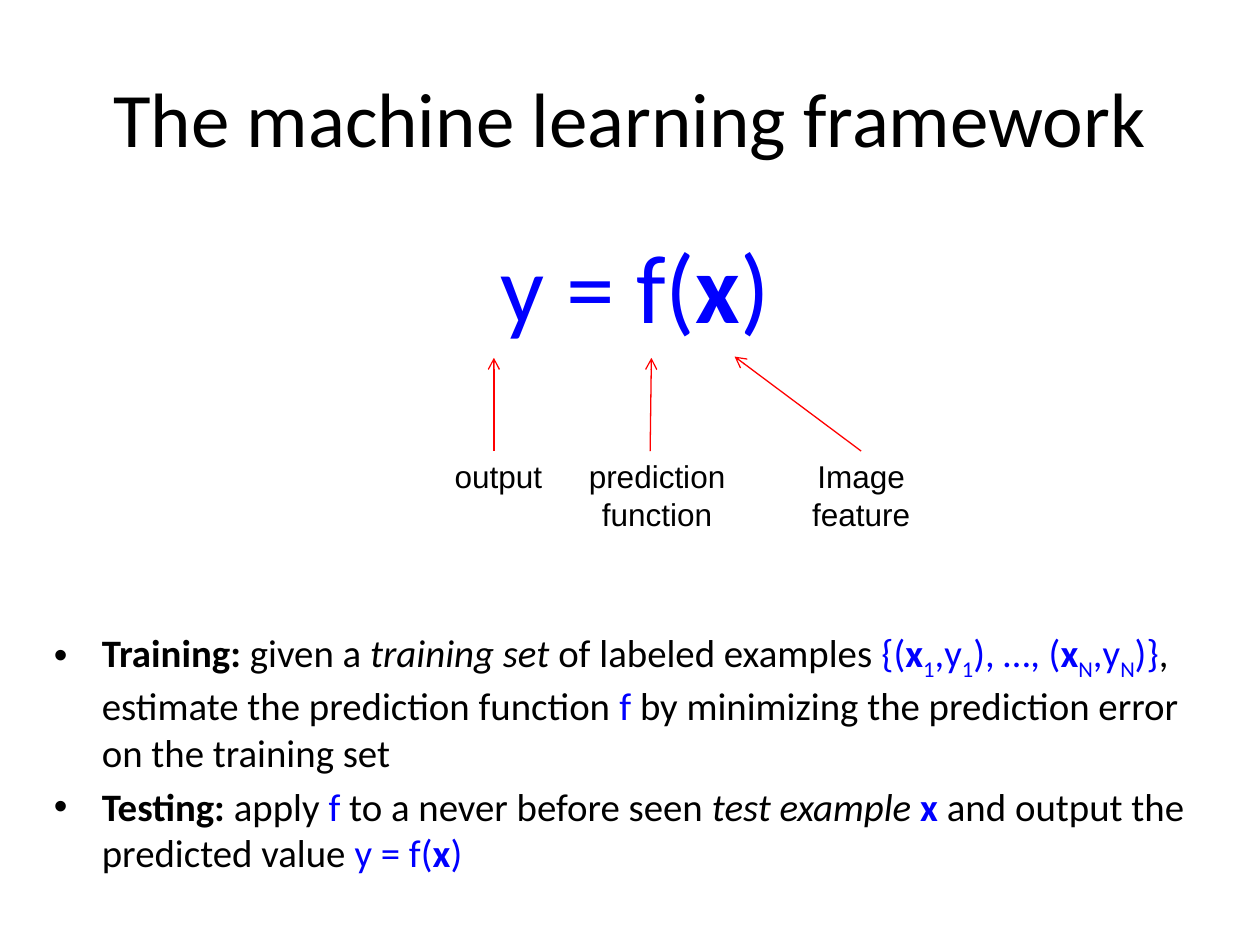
from dataclasses import dataclass

from lxml import etree
from pptx import Presentation
from pptx import util as u
from pptx.dml.color import RGBColor
from pptx.enum import shapes, text
from pptx.oxml import ns


@dataclass(frozen=True)
class Theme:
    """Colours, fonts and type sizes of the deck."""
    ink: str = "000000"
    math: str = "0000FF"
    arrow: str = "FF0000"
    main: str = "Calibri"
    tag: str = "Arial"
    title: float = 44
    big: float = 55.5
    body: float = 22.2
    label: float = 18
    line: float = 0.75


FORMULA = [("y = f(", "m"), ("x", "mb"), (")", "m")]
TRAIN = [
    ("Training: ", "b"), ("given a ", ""), ("training set ", "i"),
    ("of labeled examples ", ""), ("{(", "m"), ("x", "mb"), ("1", "ms"),
    (",y", "m"), ("1", "ms"), ("), …, (", "m"), ("x", "mb"), ("N", "ms"),
    (",y", "m"), ("N", "ms"), (")}", "m"),
    (", estimate the prediction function ", ""), ("f ", "m"),
    ("by minimizing the prediction error on the training set", ""),
]
TEST = [
    ("Testing:", "b"), (" apply ", ""), ("f", "m"),
    (" to a never before seen ", ""), ("test example ", "i"), ("x", "mb"),
    (" and output the predicted value ", ""), *FORMULA,
]
LABELS = [
    ("output", (3.51, 3.58, 0.9, 0.4), False),
    ("prediction function", (4.18, 3.58, 2.07, 0.71), True),
    ("Image feature", (6.01, 3.58, 1.65, 0.71), True),
]


class Deck:
    """Holds the theme and the current slide and draws its elements."""

    def __init__(self, theme):
        self.theme = theme
        self.prs = Presentation()
        self.prs.slide_width, self.prs.slide_height = u.Inches(10), u.Inches(7.5)
        self.slide = self.prs.slides.add_slide(self.prs.slide_layouts[5])

    def place(self, shape, box):
        """Set the position and size of a shape."""
        for key, val in zip(("left", "top", "width", "height"), box):
            setattr(shape, key, u.Inches(val))

    def run(self, para, words, size, face, flags=""):
        """Add a run; flags are b bold, i italic, m math colour, s subscript."""
        run = para.add_run()
        run.text = words
        look = {"size": u.Pt(size), "name": face,
                "bold": "b" in flags, "italic": "i" in flags}
        for key, val in look.items():
            setattr(run.font, key, val)
        tone = self.theme.math if "m" in flags else self.theme.ink
        run.font.color.rgb = RGBColor.from_string(tone)
        if "s" in flags:
            run.font._element.set("baseline", "-25000")

    def title(self, words, box):
        """Fill and move the title placeholder."""
        shape = self.slide.shapes.title
        self.place(shape, box)
        shape.text_frame.vertical_anchor = text.MSO_ANCHOR.MIDDLE
        para = shape.text_frame.paragraphs[0]
        para.alignment = text.PP_ALIGN.CENTER
        self.run(para, words, self.theme.title, self.theme.main)

    def box(self, box, wrap=True):
        """Add an empty text box and return it."""
        shape = self.slide.shapes.add_textbox(*map(u.Inches, box))
        shape.text_frame.word_wrap = wrap
        return shape

    def body(self, box, items):
        """Add paragraphs of (runs, size, space before, bulleted)."""
        frame = self.box(box).text_frame
        for num, (runs, size, gap, dot) in enumerate(items):
            para = frame.add_paragraph() if num else frame.paragraphs[0]
            para.space_before = u.Pt(gap)
            para.alignment = text.PP_ALIGN.LEFT if dot else text.PP_ALIGN.CENTER
            props = para._p.get_or_add_pPr()
            props.set("marL", str(u.Inches(0.38)))
            props.set("indent", str(u.Inches(-0.38)))
            if dot:
                font = etree.SubElement(props, ns.qn("a:buFont"))
                font.set("typeface", self.theme.tag)
                etree.SubElement(props, ns.qn("a:buChar")).set("char", "•")
            for words, flags in runs:
                self.run(para, words, size, self.theme.main, flags)

    def label(self, words, box, wrap):
        """Add a caption and return its shape."""
        shape = self.box(box, wrap)
        shape.text_frame.auto_size = text.MSO_AUTO_SIZE.SHAPE_TO_FIT_TEXT
        para = shape.text_frame.paragraphs[0]
        para.alignment = text.PP_ALIGN.CENTER if wrap else text.PP_ALIGN.LEFT
        self.run(para, words, self.theme.label, self.theme.tag)
        return shape

    def arrow(self, start, end, source=None):
        """Draw an arrow, joined to the top of source if one is given."""
        line = self.slide.shapes.add_connector(
            shapes.MSO_CONNECTOR.STRAIGHT, *map(u.Inches, start + end))
        if source is not None:
            line.begin_connect(source, 0)
        line.line.width = u.Pt(self.theme.line)
        line.line.color.rgb = RGBColor.from_string(self.theme.arrow)
        tip = etree.SubElement(line.line._get_or_add_ln(), ns.qn("a:tailEnd"))
        tip.set("type", "arrow")
        etree.SubElement(line._element.spPr, ns.qn("a:effectLst"))


def main():
    """Build the slide and save it."""
    theme = Theme()
    deck = Deck(theme)
    deck.title("The machine learning framework", (0.5, 0.3, 9, 1.25))
    deck.body((0.33, 1.75, 9.42, 4.95), [
        (FORMULA, theme.big, 0, False),
        (TRAIN, theme.body, 163, True),
        (TEST, theme.body, 4.4, True),
    ])
    tags = [deck.label(*item) for item in LABELS]
    deck.arrow((3.92, 3.58), (3.92, 2.84))
    deck.arrow((5.16, 3.58), (5.17, 2.84))
    deck.arrow((6.83, 3.58), (5.83, 2.83), tags[2])
    deck.prs.save("out.pptx")


if __name__ == "__main__":
    main()
